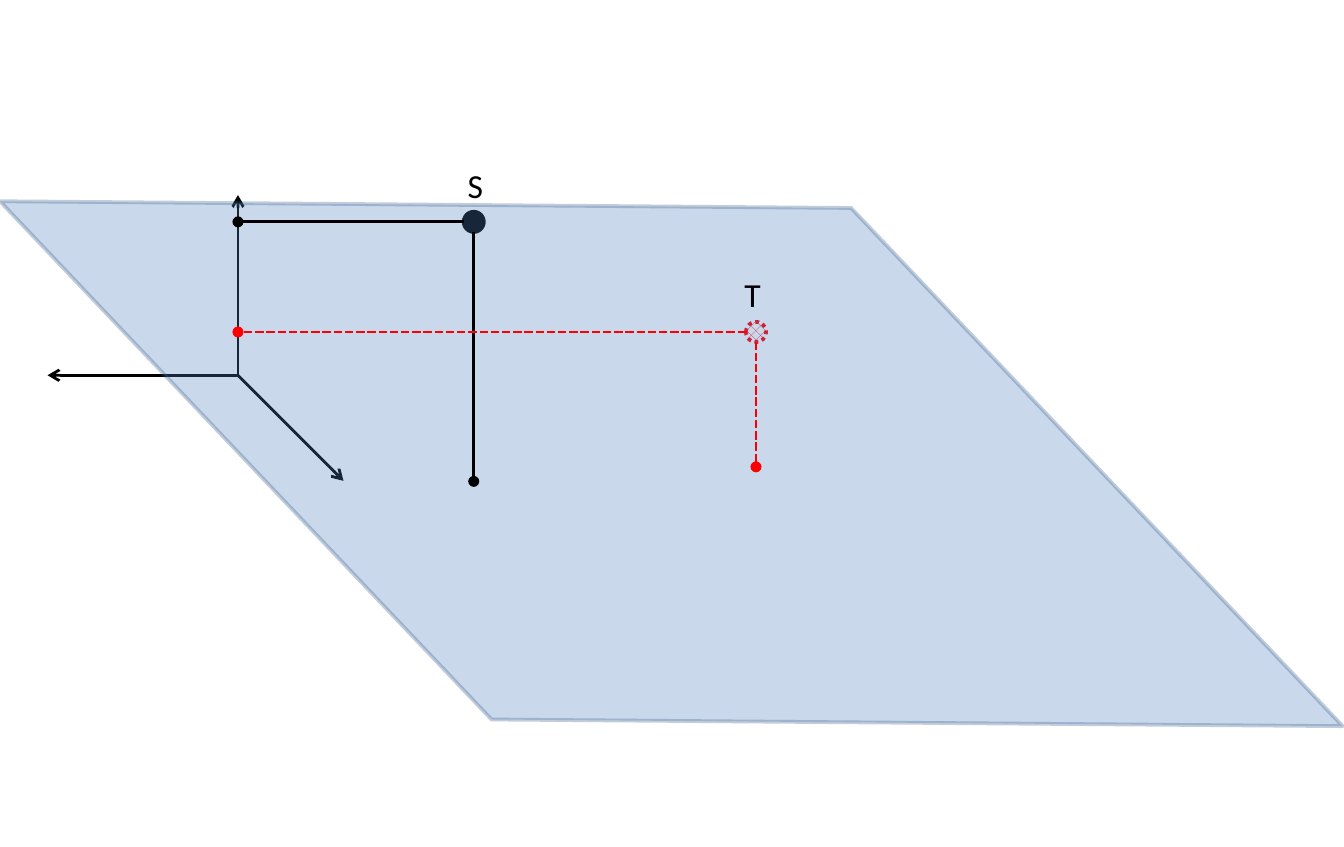
from pptx import Presentation
from pptx.dml.color import RGBColor
from pptx.enum.dml import MSO_LINE, MSO_PATTERN
from pptx.enum.shapes import MSO_CONNECTOR, MSO_SHAPE
from pptx.enum.text import MSO_AUTO_SIZE
from pptx.oxml.ns import qn
from pptx.util import Pt
from lxml import etree

STRAIGHT = MSO_CONNECTOR.STRAIGHT
OVAL = MSO_SHAPE.OVAL
SLANT = MSO_SHAPE.PARALLELOGRAM
DOTS = MSO_LINE.ROUND_DOT
DASH = MSO_LINE.SQUARE_DOT
HATCH = MSO_PATTERN.PERCENT_50
GROW = MSO_AUTO_SIZE.SHAPE_TO_FIT_TEXT

COLORS = {"black": "000000", "red": "FF0000", "white": "FFFFFF",
          "plane": "4F81BD", "edge": "3A5F8C"}
SIZE = 10.8  # width of a point marker


def color(name):
    return RGBColor.from_string(COLORS[name])


def style_line(line, name, width, dash=None):
    line.color.rgb = color(name)
    line.width = Pt(width)
    if dash:
        line.dash_style = dash


def add_shape(slide, kind, x, y, w, h, edge, dash=None):
    shape = slide.shapes.add_shape(kind, Pt(x), Pt(y), Pt(w), Pt(h))
    shape.shadow.inherit = False
    style_line(shape.line, edge, 2, dash)
    return shape


def add_line(slide, start, end, name="black", dash=None, head=None, tail=None):
    line = slide.shapes.add_connector(STRAIGHT, *map(Pt, start + end))
    style_line(line.line, name, 1.5, dash)
    props = line._element.spPr
    stroke = props.find(qn("a:ln"))
    for tag, end_type in (("a:headEnd", head), ("a:tailEnd", tail)):
        if end_type:
            etree.SubElement(stroke, qn(tag), type=end_type)
    etree.SubElement(props, qn("a:effectLst"))


def add_plane(slide):
    plane = add_shape(slide, SLANT, 10.1, 84.2, 699.1, 328.3, "edge")
    plane.adjustments[0] = 0.964
    plane.rotation = 226.5
    plane.fill.solid()
    plane.fill.fore_color.rgb = color("plane")
    fill, edge = plane._element.spPr.iter(qn("a:srgbClr"))
    for node, alpha in ((fill, "30000"), (edge, "31000")):
        etree.SubElement(node, qn("a:alpha"), val=alpha)


def add_label(slide, text, x, y):
    box = slide.shapes.add_textbox(Pt(x), Pt(y), Pt(23), Pt(29))
    frame = box.text_frame
    frame.word_wrap = False
    frame.auto_size = GROW
    para = frame.paragraphs[0]
    para.text = text
    para.font.name = "Calibri"
    para.font.size = Pt(18)
    para.font.color.rgb = color("black")


def main():
    deck = Presentation()
    deck.slide_width, deck.slide_height = Pt(720), Pt(453.6)
    slide = deck.slides.add_slide(deck.slide_layouts[6])

    # Axes from a shared origin
    origin = (127.5, 201)
    for tip in ((127.5, 104.5), (184, 257.5), (25.5, 201)):
        add_line(slide, origin, tip, tail="arrow")

    # Markers: solid source, hatched target
    source, target = (253.8, 118.8), (405, 177.8)
    half = SIZE / 2
    dot = add_shape(slide, OVAL, source[0] - half, source[1] - half,
                    SIZE, SIZE, "black")
    dot.fill.solid()
    dot.fill.fore_color.rgb = color("black")
    ring = add_shape(slide, OVAL, target[0] - half, target[1] - half,
                     SIZE, SIZE, "red", DOTS)
    ring.fill.patterned()
    ring.fill.pattern = HATCH
    ring.fill.fore_color.rgb = color("red")
    ring.fill.back_color.rgb = color("white")

    # Translucent plane over axes and markers
    add_plane(slide)

    # Projections onto the upright axis and the plane
    for (x, y), foot, name, dash in ((source, 257.8, "black", None),
                                     (target, 250, "red", DASH)):
        add_line(slide, (x - half, y), (origin[0], y), name, dash, tail="oval")
        add_line(slide, (x, foot), (x, y + half), name, dash, head="oval")

    # Labels
    add_label(slide, "S", 243.4, 85)
    add_label(slide, "T", 391.7, 143.3)

    deck.save("out.pptx")


if __name__ == "__main__":
    main()
